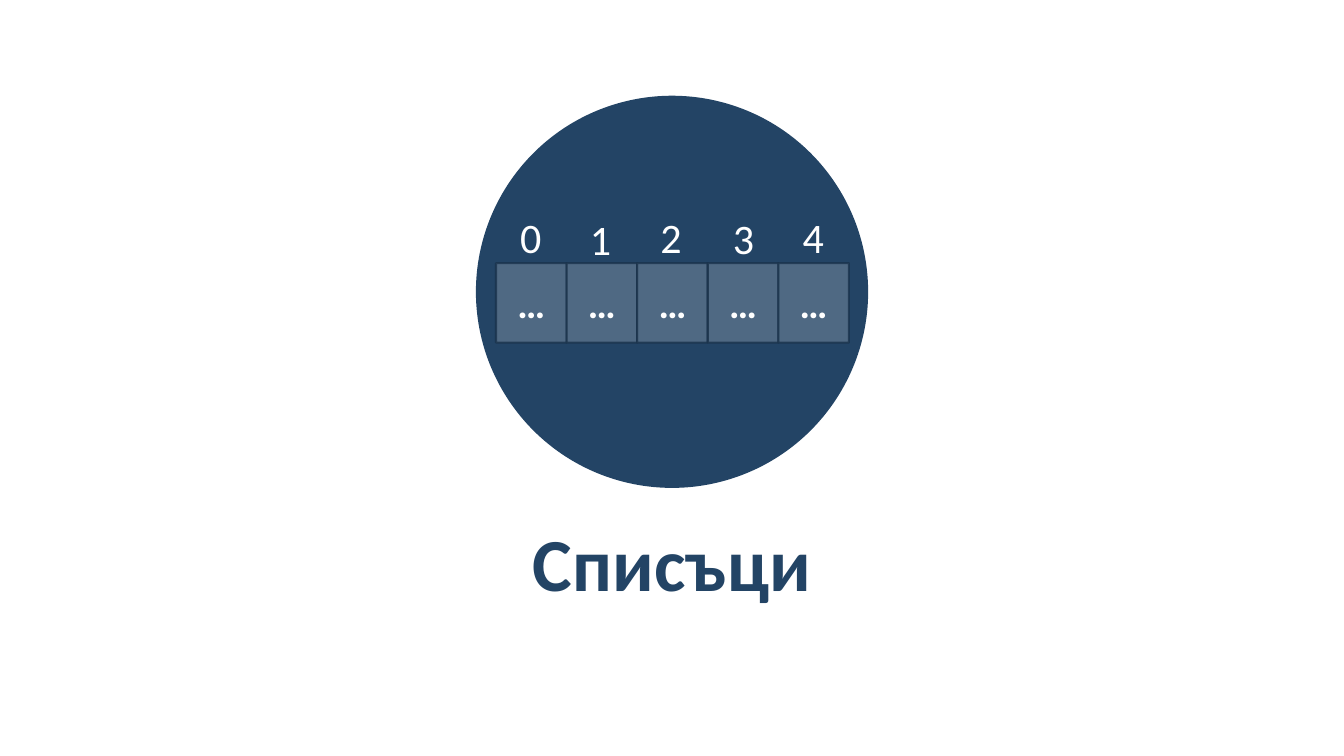
"""Build the section slide that introduces lists."""
from dataclasses import dataclass

from lxml import etree
from pptx import Presentation
from pptx.dml.color import RGBColor
from pptx.enum.shapes import MSO_SHAPE
from pptx.enum.text import MSO_ANCHOR, MSO_AUTO_SIZE, PP_ALIGN
from pptx.oxml.ns import qn
from pptx.util import Inches, Pt

OVAL, RECTANGLE = MSO_SHAPE.OVAL, MSO_SHAPE.RECTANGLE
MIDDLE, TOP = MSO_ANCHOR.MIDDLE, MSO_ANCHOR.TOP
CENTER, LEFT = PP_ALIGN.CENTER, PP_ALIGN.LEFT
GROW, FIXED = MSO_AUTO_SIZE.SHAPE_TO_FIT_TEXT, MSO_AUTO_SIZE.NONE


@dataclass(frozen=True)
class Theme:
    """Colours, font and type sizes of the slide."""
    navy: str = "234465"
    outline: str = "1A334C"
    white: str = "FFFFFF"
    font: str = "Calibri"
    title_size: float = 53.5
    index_size: float = 30
    cell_size: float = 28


def apply_format(target, values):
    """Set each named attribute of the target."""
    for name, value in values.items():
        setattr(target, name, value)


def set_opacity(parent, percent):
    """Make the solid fill under an XML parent partly transparent."""
    color = parent.find(qn("a:solidFill"))[0]
    etree.SubElement(color, qn("a:alpha")).set("val", str(percent * 1000))


class SlideBuilder:
    """Add styled elements to one slide."""

    def __init__(self, slide, theme):
        """Keep the slide and its theme."""
        self.slide = slide
        self.theme = theme

    def fill_text(self, shape, text, size, color, bold=False, align=CENTER,
                  spacing=1.0, frame_format=None):
        """Put one formatted paragraph into a shape."""
        apply_format(shape.text_frame, frame_format or {})
        paragraph = shape.text_frame.paragraphs[0]
        apply_format(paragraph, {"alignment": align, "line_spacing": spacing})
        run = paragraph.add_run()
        run.text = text
        apply_format(run.font, {"name": self.theme.font, "size": Pt(size), "bold": bold})
        run.font.color.rgb = RGBColor.from_string(color)

    def add_shape(self, kind, box, fill):
        """Add a filled shape without line or shadow."""
        shape = self.slide.shapes.add_shape(kind, *map(Inches, box))
        shape.shadow.inherit = False
        shape.fill.solid()
        shape.fill.fore_color.rgb = RGBColor.from_string(fill)
        shape.line.fill.background()
        return shape

    def add_cell(self, box, text):
        """Add one translucent list cell."""
        theme = self.theme
        cell = self.add_shape(RECTANGLE, box, theme.white)
        cell.line.width = Pt(1.5)
        cell.line.color.rgb = RGBColor.from_string(theme.outline)
        properties = cell.element.spPr
        set_opacity(properties, 20)
        set_opacity(properties.find(qn("a:ln")), 80)
        self.fill_text(cell, text, theme.cell_size, theme.white, bold=True,
                       frame_format={"vertical_anchor": MIDDLE, "word_wrap": True})

    def add_text(self, box, text, size, color, margins, frame_format, **style):
        """Add a text box with horizontal and vertical margins."""
        text_box = self.slide.shapes.add_textbox(*map(Inches, box))
        side, end = map(Inches, margins)
        insets = {"margin_left": side, "margin_right": side,
                  "margin_top": end, "margin_bottom": end}
        self.fill_text(text_box, text, size, color,
                       frame_format={**insets, **frame_format}, **style)

    def add_index(self, box, text):
        """Add the index number above a cell."""
        self.add_text(box, text, self.theme.index_size, self.theme.white, (0.16, 0.12),
                      {"word_wrap": False, "auto_size": GROW, "vertical_anchor": TOP},
                      align=LEFT, spacing=1.1)

    def add_title(self, box, text):
        """Add the slide title."""
        self.add_text(box, text, self.theme.title_size, self.theme.navy, (0.12, 0.04),
                      {"word_wrap": True, "auto_size": FIXED, "vertical_anchor": MIDDLE},
                      bold=True)


def main():
    """Build and save the presentation."""
    presentation = Presentation()
    apply_format(presentation, {"slide_width": Inches(13.33), "slide_height": Inches(7.5)})
    slide = presentation.slides.add_slide(presentation.slide_layouts[6])
    theme = Theme()
    builder = SlideBuilder(slide, theme)

    builder.add_shape(OVAL, (4.72, 0.95, 3.89, 3.89), theme.navy)
    index_positions = [(5, 1.93), (5.69, 1.95), (6.39, 1.93), (7.11, 1.94), (7.8, 1.93)]
    cell_width = 0.7
    for index in range(len(index_positions)):
        builder.add_cell((4.92 + index * cell_width, 2.61, cell_width, 0.79), "…")
    for index, position in enumerate(index_positions):
        builder.add_index((*position, 0.53, 0.77), str(index))
    builder.add_title((0.67, 5.15, 11.99, 0.84), "Списъци")

    presentation.save("out.pptx")


if __name__ == "__main__":
    main()
